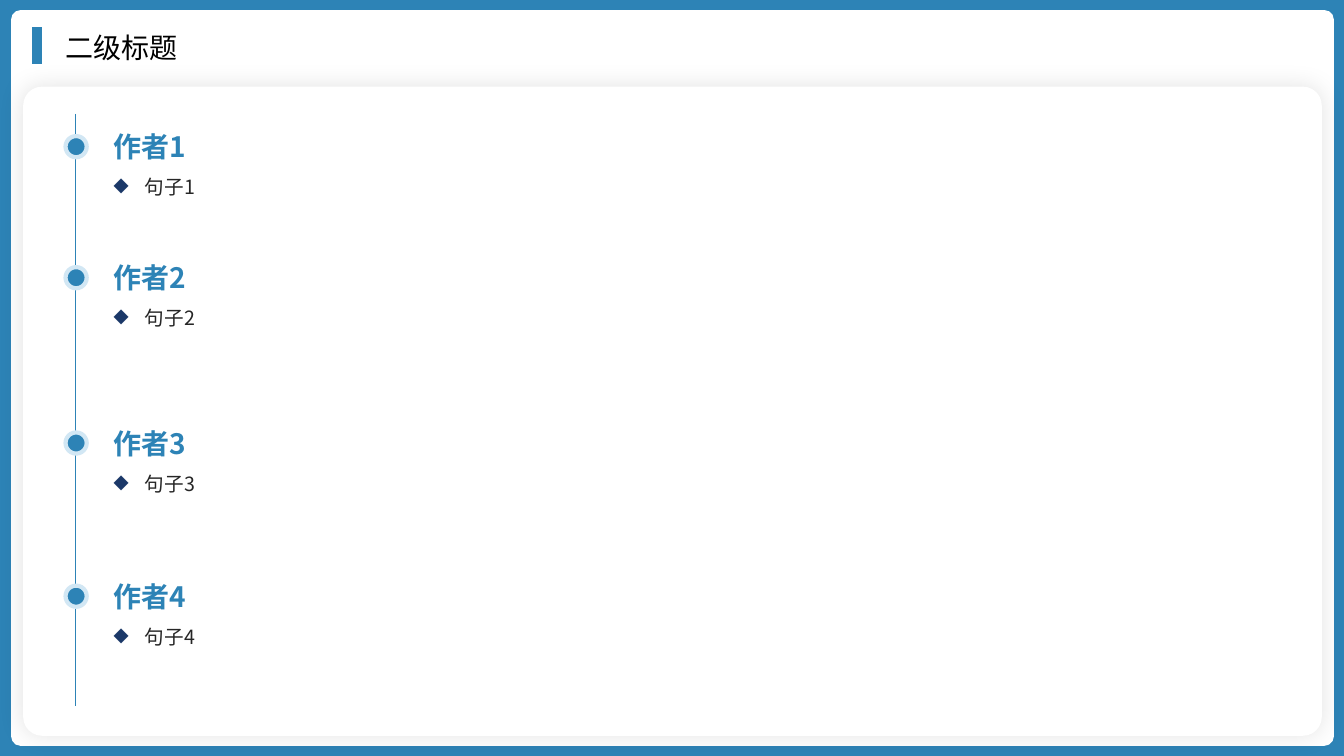
import pptx
import pptx.dml.color
import pptx.enum.shapes
import pptx.enum.text
import pptx.oxml
import pptx.oxml.ns
import pptx.util
from pptx.util import Inches

RGBColor = pptx.dml.color.RGBColor
BLUE = RGBColor(0x2D, 0x83, 0xB6)
PALE_BLUE = RGBColor(0xD2, 0xE7, 0xF4)
NAVY = RGBColor(0x1B, 0x38, 0x68)
INK = RGBColor(0x26, 0x26, 0x26)
BLACK = RGBColor(0, 0, 0)
WHITE = RGBColor(0xFF, 0xFF, 0xFF)

CJK_FONT = "Noto Sans CJK SC"
TITLE_FONT = "Roboto"
PRESET = pptx.enum.shapes.MSO_SHAPE

DOT_SIZE = 0.21
DOT_LEFT = 0.65
ENTRY_LEFT = 1.03
ENTRIES = [
    (1.35, "作者1", "句子1"),
    (2.65, "作者2", "句子2"),
    (4.29, "作者3", "句子3"),
    (5.81, "作者4", "句子4"),
]


def add_xml(parent, tag, content="", attributes=""):
    element = pptx.oxml.parse_xml(
        f"<a:{tag} {pptx.oxml.ns.nsdecls('a')} {attributes}>{content}</a:{tag}>"
    )
    parent.append(element)


def add_panel(slide, preset, left, top, width, height, fill, corner=None):
    panel = slide.shapes.add_shape(
        preset, Inches(left), Inches(top), Inches(width), Inches(height)
    )
    panel.shadow.inherit = False
    panel.fill.solid()
    panel.fill.fore_color.rgb = fill
    panel.line.fill.background()
    if corner is not None:
        panel.adjustments[0] = corner
    return panel


def add_soft_shadow(panel):
    effects = panel._element.spPr.find(pptx.oxml.ns.qn("a:effectLst"))
    add_xml(
        effects,
        "outerShdw",
        '<a:srgbClr val="000000"><a:alpha val="11000"/></a:srgbClr>',
        f'blurRad="{pptx.util.Pt(18)}" dist="0" dir="0" algn="ctr" rotWithShape="0"',
    )


def add_vertical_line(slide, x, top, bottom, weight):
    line = slide.shapes.add_connector(
        pptx.enum.shapes.MSO_CONNECTOR.STRAIGHT,
        Inches(x), Inches(top), Inches(x), Inches(bottom),
    )
    line.line.color.rgb = BLUE
    line.line.width = pptx.util.Pt(weight)
    add_xml(line._element.spPr, "effectLst")


def add_text(slide, left, top, width, height, text, size, color,
             font=CJK_FONT, bold=False, bulleted=False):
    box = slide.shapes.add_textbox(
        Inches(left), Inches(top), Inches(width), Inches(height)
    )
    frame = box.text_frame
    frame.word_wrap = True
    frame.auto_size = pptx.enum.text.MSO_AUTO_SIZE.SHAPE_TO_FIT_TEXT
    paragraph = frame.paragraphs[0]
    paragraph.text = text
    if bulleted:
        format_bullet(paragraph)
    paragraph.font.name = font
    paragraph.font.size = pptx.util.Pt(size)
    paragraph.font.bold = bold
    paragraph.font.color.rgb = color
    defaults = paragraph._p.pPr.find(pptx.oxml.ns.qn("a:defRPr"))
    add_xml(defaults, "ea", attributes=f'typeface="{CJK_FONT}"')


def format_bullet(paragraph):
    paragraph.line_spacing = 1.3
    paragraph.space_after = pptx.util.Pt(6)
    properties = paragraph._p.get_or_add_pPr()
    properties.set("marL", str(Inches(0.31)))
    properties.set("indent", str(Inches(-0.31)))
    add_xml(properties, "buClr", f'<a:srgbClr val="{NAVY}"/>')
    add_xml(properties, "buChar", attributes='char="◆"')


def add_entry(slide, dot_top, author, sentence):
    dot = add_panel(slide, PRESET.OVAL, DOT_LEFT, dot_top, DOT_SIZE, DOT_SIZE, BLUE)
    dot.line.color.rgb = PALE_BLUE
    dot.line.width = pptx.util.Pt(3)
    add_text(slide, ENTRY_LEFT, dot_top - 0.11, 2.3, 0.44, author, 20, BLUE, bold=True)
    add_text(slide, ENTRY_LEFT, dot_top + 0.27, 11.46, 0.41, sentence, 14, INK,
             bulleted=True)


def main():
    deck = pptx.Presentation()
    deck.slide_width = Inches(13.33)
    deck.slide_height = Inches(7.5)
    slide = deck.slides.add_slide(deck.slide_layouts[6])

    add_panel(slide, PRESET.RECTANGLE, 0, 0, 13.33, 7.5, BLUE)
    add_panel(slide, PRESET.ROUNDED_RECTANGLE, 0.11, 0.1, 13.12, 7.3, WHITE, 0.013)
    content_card = add_panel(
        slide, PRESET.ROUNDED_RECTANGLE, 0.23, 0.86, 12.88, 6.44, WHITE, 0.029
    )
    add_soft_shadow(content_card)

    add_vertical_line(slide, 0.37, 0.27, 0.64, 7.25)
    add_text(slide, 0.55, 0.25, 12.42, 0.44, "二级标题", 20, BLACK, font=TITLE_FONT)

    add_vertical_line(slide, 0.75, 1.13, 7, 0.5)
    for dot_top, author, sentence in ENTRIES:
        add_entry(slide, dot_top, author, sentence)

    deck.save("out.pptx")


if __name__ == "__main__":
    main()
